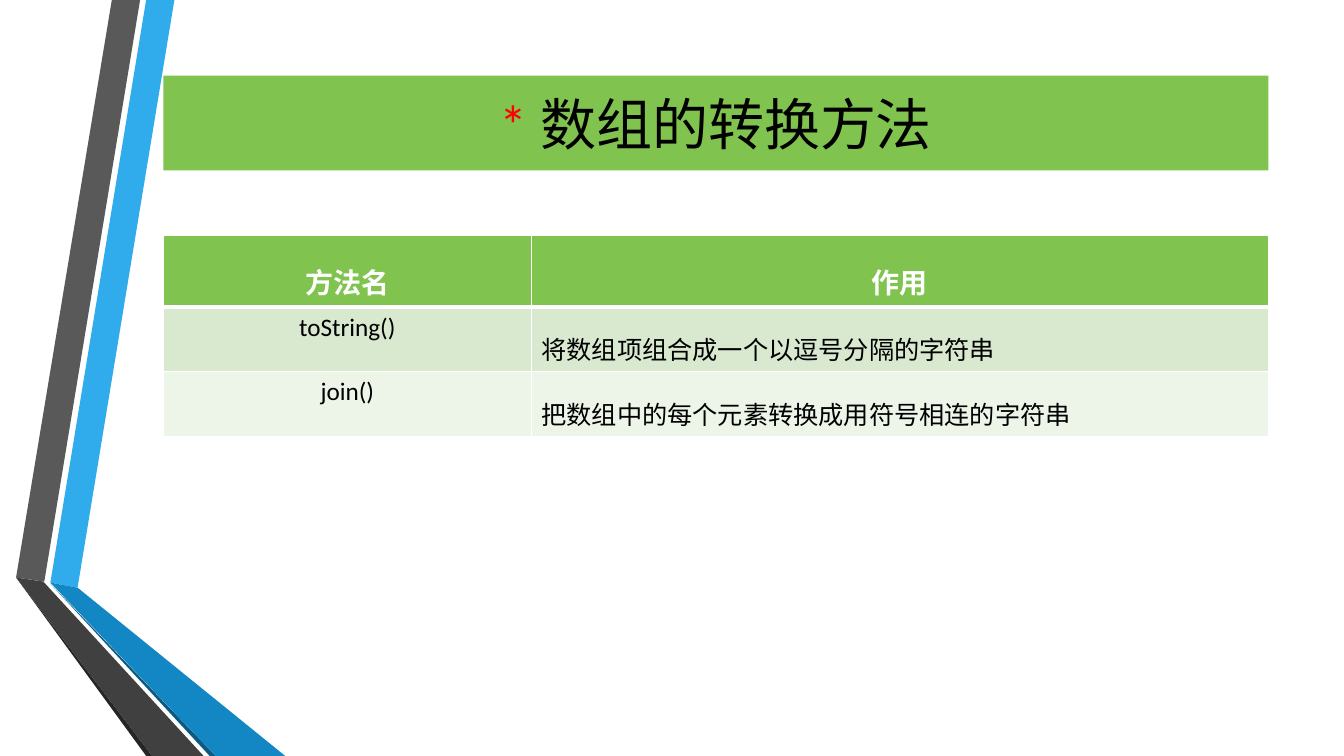
from pptx import Presentation
from pptx.dml.color import RGBColor
from pptx.enum.text import MSO_ANCHOR, MSO_AUTO_SIZE, PP_ALIGN
from pptx.oxml.ns import qn
from pptx.util import Inches, Pt
from lxml import etree

CENTER, LEFT = PP_ALIGN.CENTER, PP_ALIGN.LEFT
LATIN, CHINESE = "Calibri", "Noto Sans CJK SC"
GREEN, WHITE, BLACK, RED = "80C34F", "FFFFFF", "000000", "FF0000"
ROW_FILLS = [GREEN, "D8E9D0", "EDF5E9"]

TITLE_RUNS = [("* ", RED), ("数组的转换方法", BLACK)]
METHODS = [
    ("方法名", "作用"),
    ("toString()", "将数组项组合成一个以逗号分隔的字符串"),
    ("join()", "把数组中的每个元素转换成用符号相连的字符串"),
]
COLUMN_WIDTHS = [3.65, 7.31]
ROW_HEIGHTS = [0.47, 0.52, 0.52]
CONTENT_LEFT, CONTENT_WIDTH = 1.62, sum(COLUMN_WIDTHS)

RIBBONS = [
    ("30ACEC", [(0.5, 5.78), (0.77, 5.83), (1.73, 0), (1.45, 0)]),
    ("595959", [(1.39, 0), (1.11, 0), (0.16, 5.73), (0.44, 5.77)]),
    ("262626", [(0.16, 5.73), (1.45, 7.5), (1.51, 7.5)]),
    ("0C5A82", [(0.5, 5.79), (2.08, 7.5), (2.14, 7.5)]),
    ("1287C3", [(0.5, 5.78), (2.14, 7.5), (2.83, 7.5), (0.77, 5.83)]),
    ("404040", [(2.02, 7.5), (0.43, 5.77), (0.16, 5.73), (1.51, 7.5)]),
]


def color(hex_string):
    return RGBColor.from_string(hex_string)


def paint(target, hex_string):
    target.fill.solid()
    target.fill.fore_color.rgb = color(hex_string)


def add_text(paragraph, text, size, fill, font=LATIN, bold=False,
             align=CENTER, spacing=1.0):
    paragraph.alignment = align
    paragraph.line_spacing = spacing
    run = paragraph.add_run()
    run.text = text
    run.font.size = Pt(size)
    run.font.name = font
    run.font.bold = bold
    run.font.color.rgb = color(fill)
    east_asian = etree.SubElement(run.font._element, qn("a:ea"))
    east_asian.set("typeface", CHINESE)


def add_ribbon(slide, fill, points):
    corners = [(Inches(x), Inches(y)) for x, y in points]
    builder = slide.shapes.build_freeform(*corners[0])
    builder.add_line_segments(corners[1:], close=True)
    shape = builder.convert_to_shape()
    shape.shadow.inherit = False
    paint(shape, fill)
    shape.line.fill.background()


def add_borders(cell, top, bottom):
    properties = cell._tc.get_or_add_tcPr()
    for side, width in (("L", 1), ("R", 1), ("T", top), ("B", bottom)):
        line = etree.SubElement(properties, qn("a:ln" + side), w=str(Pt(width)))
        fill = etree.SubElement(line, qn("a:solidFill"))
        etree.SubElement(fill, qn("a:srgbClr"), val=WHITE)


def add_title(slide):
    title = slide.shapes.title
    title.left, title.top = Inches(CONTENT_LEFT), Inches(0.75)
    title.width, title.height = Inches(CONTENT_WIDTH), Inches(0.94)
    paint(title, GREEN)
    frame = title.text_frame
    frame.auto_size = MSO_AUTO_SIZE.NONE
    frame.vertical_anchor = MSO_ANCHOR.MIDDLE
    for text, fill in TITLE_RUNS:
        add_text(frame.paragraphs[0], text, 40, fill)


def add_method_table(slide):
    table = slide.shapes.add_table(
        len(METHODS), len(COLUMN_WIDTHS), Inches(CONTENT_LEFT), Inches(2.34),
        Inches(CONTENT_WIDTH), Inches(sum(ROW_HEIGHTS))).table
    for column, width in zip(table.columns, COLUMN_WIDTHS):
        column.width = Inches(width)
    for row_index, texts in enumerate(METHODS):
        table.rows[row_index].height = Inches(ROW_HEIGHTS[row_index])
        header = row_index == 0
        for column_index, text in enumerate(texts):
            cell = table.cell(row_index, column_index)
            add_borders(cell, top=3 if row_index == 1 else 1,
                        bottom=3 if header else 1)
            paint(cell, ROW_FILLS[row_index])
            method_name = not header and column_index == 0
            add_text(cell.text_frame.paragraphs[0], text,
                     size=20 if header else 18,
                     fill=WHITE if header else BLACK,
                     font=LATIN if method_name else CHINESE,
                     bold=header,
                     align=CENTER if header or method_name else LEFT,
                     spacing=1.0 if method_name else 1.5)


def main():
    presentation = Presentation()
    presentation.slide_width = Inches(13.33)
    presentation.slide_height = Inches(7.5)
    slide = presentation.slides.add_slide(presentation.slide_layouts[5])
    for fill, points in RIBBONS:
        add_ribbon(slide, fill, points)
    add_method_table(slide)
    add_title(slide)
    presentation.save("out.pptx")


if __name__ == "__main__":
    main()
